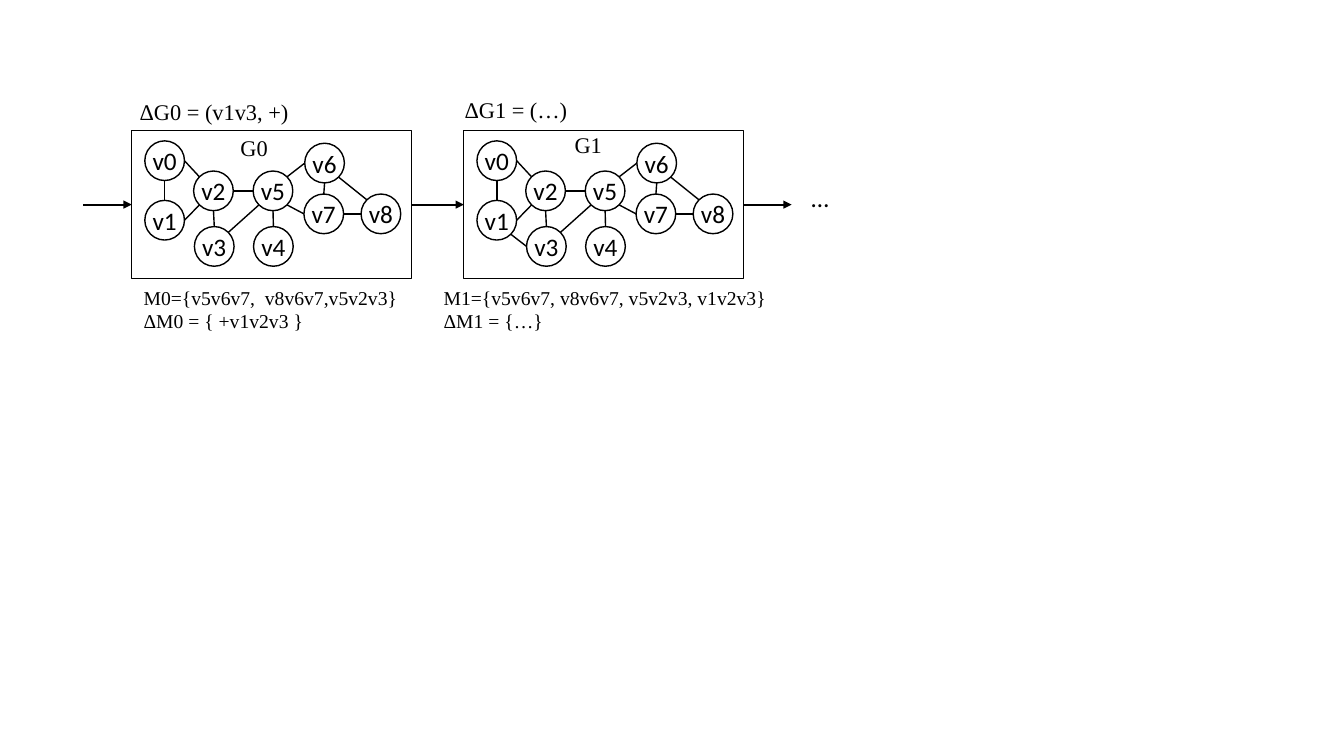
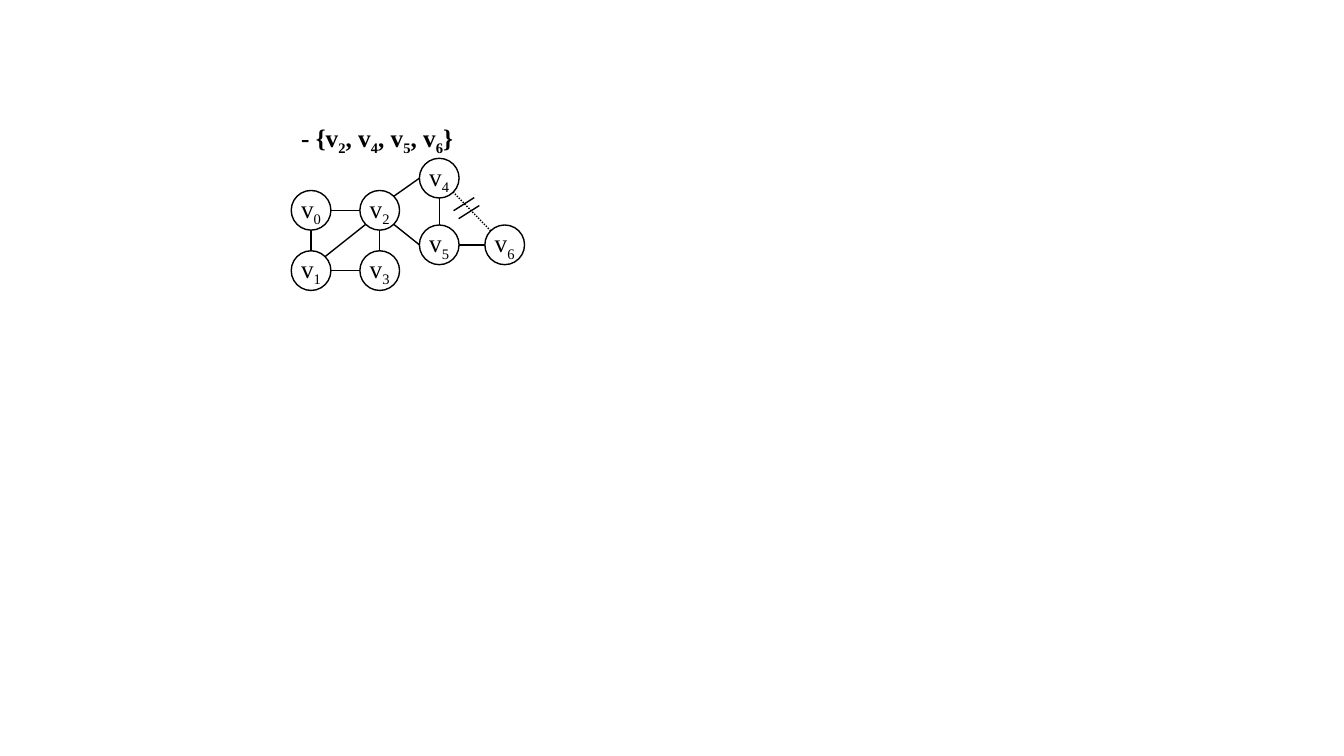
from math import cos, radians, sin

from pptx import Presentation
from pptx.dml.color import RGBColor
from pptx.enum import dml, shapes, text
from pptx.oxml import parse_xml
from pptx.oxml.ns import nsdecls
from pptx.util import Cm, Pt

BLACK, WHITE = "000000", "FFFFFF"
SANS, SERIF = "Calibri", "Times New Roman"
NODE = 1.0
PORTS = "E SE S SW W NW N NE".split()

BOX_W, BOX_H, GAP, LEAD = 7.04, 3.73, 1.33, 1.22

STEP_NODES = {
    "v0": (0.83, 0.76), "v1": (0.83, 2.26), "v2": (2.06, 1.52),
    "v3": (2.08, 2.92), "v4": (3.57, 2.92), "v5": (3.56, 1.52),
    "v6": (4.86, 0.82), "v7": (4.84, 2.1), "v8": (6.28, 2.1),
}
STEP_EDGES = [
    "v0 E v2 NW", "v0 S v1 N", "v2 SW v1 E", "v5 W v2 E",
    "v6 W v5 NE", "v7 W v5 SE", "v7 N v6 S", "v8 NW v6 SE",
    "v8 W v7 E", "v3 N v2 S", "v3 NE v5 SW", "v4 N v5 S",
]
# Each label: words, left, top, width, height, size
STEPS = [
    (STEP_EDGES, [
        ("G0", 2.49, -0.03, 1.22, 0.94, 16),
        ("ΔG0 = (v1v3, +)", -0.05, -0.94, 4.32, 0.94, 16),
        ("M0={v5v6v7,  v8v6v7,v5v2v3}\nΔM0 = { +v1v2v3 }",
         0.05, 3.78, 6.91, 1.45, 14),
    ]),
    (STEP_EDGES + ["v3 W v1 SE"], [
        ("G1", 2.54, -0.1, 1.22, 0.94, 16),
        ("ΔG1 = (…)", -0.23, -0.99, 3.12, 0.94, 16),
        ("M1={v5v6v7, v8v6v7, v5v2v3, v1v2v3}\nΔM1 = {…}",
         -0.76, 3.78, 8.66, 1.45, 14),
    ]),
]

CUT_NODES = {
    "v_0": (0.5, 1.31), "v_1": (0.5, 2.83), "v_2": (2.23, 1.31),
    "v_3": (2.23, 2.83), "v_4": (3.73, 0.5), "v_5": (3.73, 2.18),
    "v_6": (5.38, 2.18),
}
CUT_EDGES = [
    "v_2 W v_0 E", "v_4 W v_2 NE", "v_5 W v_2 SE", "v_5 N v_4 S",
    "v_6 W v_5 E", "v_1 N v_0 S", "v_1 NE v_2 SW", "v_3 N v_2 S",
    "v_1 E v_3 W",
]
CUT_EDGE = "v_6 NW v_4 SE"


def paint(form, code):
    """Set a fill or font colour from a hex string."""
    form.rgb = RGBColor.from_string(code)


def write(frame, words, size, face, bold=False):
    """Fill a frame; an underscore lowers the character after it."""
    for num, row in enumerate(words.split("\n")):
        para = frame.add_paragraph() if num else frame.paragraphs[0]
        first, *rest = row.split("_")
        para.text = first
        for part in rest:
            low = para.add_run()
            low.text = part[0]
            low.font._element.set("baseline", "-25000")
            if part[1:]:
                para.add_run().text = part[1:]
        for run in para.runs:
            run.font.size, run.font.name = Pt(size), face
            run.font.bold = bold
            paint(run.font.color, BLACK)


def label(slide, words, x, y, w, h, size, face=SERIF, bold=False, wrap=False):
    frame = slide.shapes.add_textbox(Cm(x), Cm(y), Cm(w), Cm(h)).text_frame
    frame.word_wrap = wrap
    frame.auto_size = text.MSO_AUTO_SIZE.SHAPE_TO_FIT_TEXT
    write(frame, words, size, face, bold)


def outline(slide, kind, x, y, w, h, weight):
    item = slide.shapes.add_shape(kind, Cm(x), Cm(y), Cm(w), Cm(h))
    item.shadow.inherit = False
    item.fill.background()
    paint(item.line.color, BLACK)
    item.line.width = Pt(weight)
    return item


def node(slide, name, x, y, face):
    """Draw a named circle centred on a point."""
    item = outline(slide, shapes.MSO_SHAPE.OVAL,
                   x - NODE / 2, y - NODE / 2, NODE, NODE, 1)
    item.fill.solid()
    paint(item.fill.fore_color, WHITE)
    frame = item.text_frame
    frame.word_wrap = False
    frame.vertical_anchor = text.MSO_ANCHOR.MIDDLE
    write(frame, name, 18, face)
    frame.paragraphs[0].alignment = text.PP_ALIGN.CENTER


def line(slide, start, end, weight=1):
    ends = [Cm(v) for v in (*start, *end)]
    item = slide.shapes.add_connector(shapes.MSO_CONNECTOR.STRAIGHT, *ends)
    paint(item.line.color, BLACK)
    item.line.width = Pt(weight)
    item._element.spPr.append(parse_xml(f"<a:effectLst {nsdecls('a')}/>"))
    return item


def arrow(slide, x, y, span):
    item = line(slide, (x, y), (x + span, y), 1.5)
    head = parse_xml(f'<a:tailEnd {nsdecls("a")} type="triangle"/>')
    item.line._get_or_add_ln().append(head)


def port(spot, side):
    """Give the point of a circle's rim that faces a compass side."""
    turn = radians(45 * PORTS.index(side))
    return spot[0] + NODE / 2 * cos(turn), spot[1] + NODE / 2 * sin(turn)


def edge(slide, spots, rule):
    tail, out, head, into = rule.split()
    return line(slide, port(spots[tail], out), port(spots[head], into))


def graph(slide, x, y, nodes, edges, face):
    """Draw nodes and edges, and return the node centres."""
    spots = {name: (x + dx, y + dy) for name, (dx, dy) in nodes.items()}
    for name, spot in spots.items():
        node(slide, name, *spot, face)
    for rule in edges:
        edge(slide, spots, rule)
    return spots


def step(slide, x, y, edges, labels):
    """Draw one framed graph with its captions."""
    outline(slide, shapes.MSO_SHAPE.RECTANGLE, x, y, BOX_W, BOX_H, 0.75)
    graph(slide, x, y, STEP_NODES, edges, SANS)
    for words, dx, dy, *rest in labels:
        label(slide, words, x + dx, y + dy, *rest)


def stream(slide, x, y):
    """Draw the chain of graph updates."""
    mid = y + BOX_H / 2
    arrow(slide, x - LEAD, mid, LEAD)
    for num, (edges, labels) in enumerate(STEPS):
        left = x + num * (BOX_W + GAP)
        step(slide, left, y, edges, labels)
        last = num == len(STEPS) - 1
        arrow(slide, left + BOX_W, mid, LEAD if last else GAP)
    label(slide, "…", left + BOX_W + 1.47, y + 1.19, 1.02, 1.02, 18,
          SANS, wrap=True)


def cut(slide, x, y):
    """Draw the graph that loses one edge."""
    spots = graph(slide, x, y, CUT_NODES, CUT_EDGES, SERIF)
    lost = edge(slide, spots, CUT_EDGE)
    lost.line.dash_style = dml.MSO_LINE.ROUND_DOT
    for dx, dy in ((4.09, 1.32), (4.22, 1.52)):
        line(slide, (x + dx, y + dy), (x + dx + 0.52, y + dy - 0.33))
    label(slide, "- {v_2, v_4, v_5, v_6}", x, y - 1.04, 6.73, 1.02, 18,
          bold=True, wrap=True)


def main():
    deck = Presentation()
    deck.slide_width, deck.slide_height = Cm(33.87), Cm(19.05)
    for draw, x, y in ((stream, 3.32, 3.29), (cut, 7.34, 3.99)):
        draw(deck.slides.add_slide(deck.slide_layouts[6]), x, y)
    deck.save("out.pptx")


if __name__ == "__main__":
    main()
